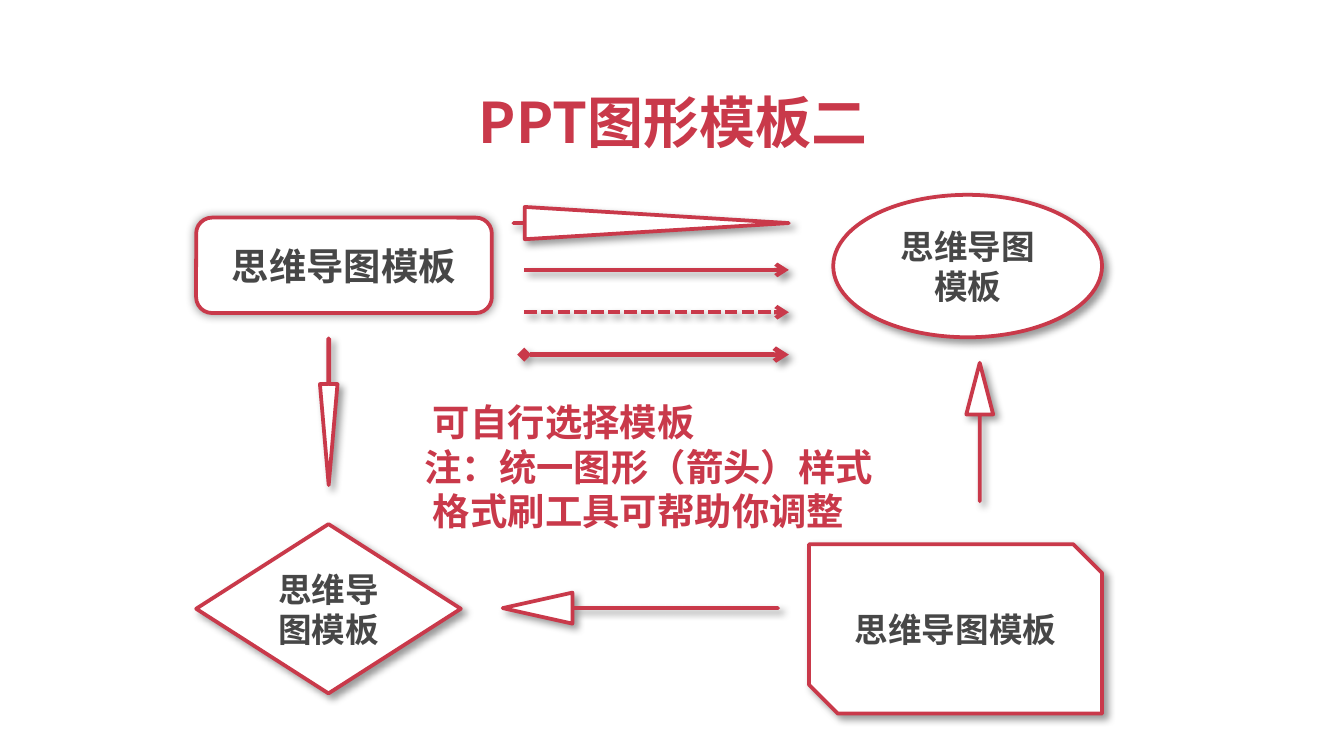
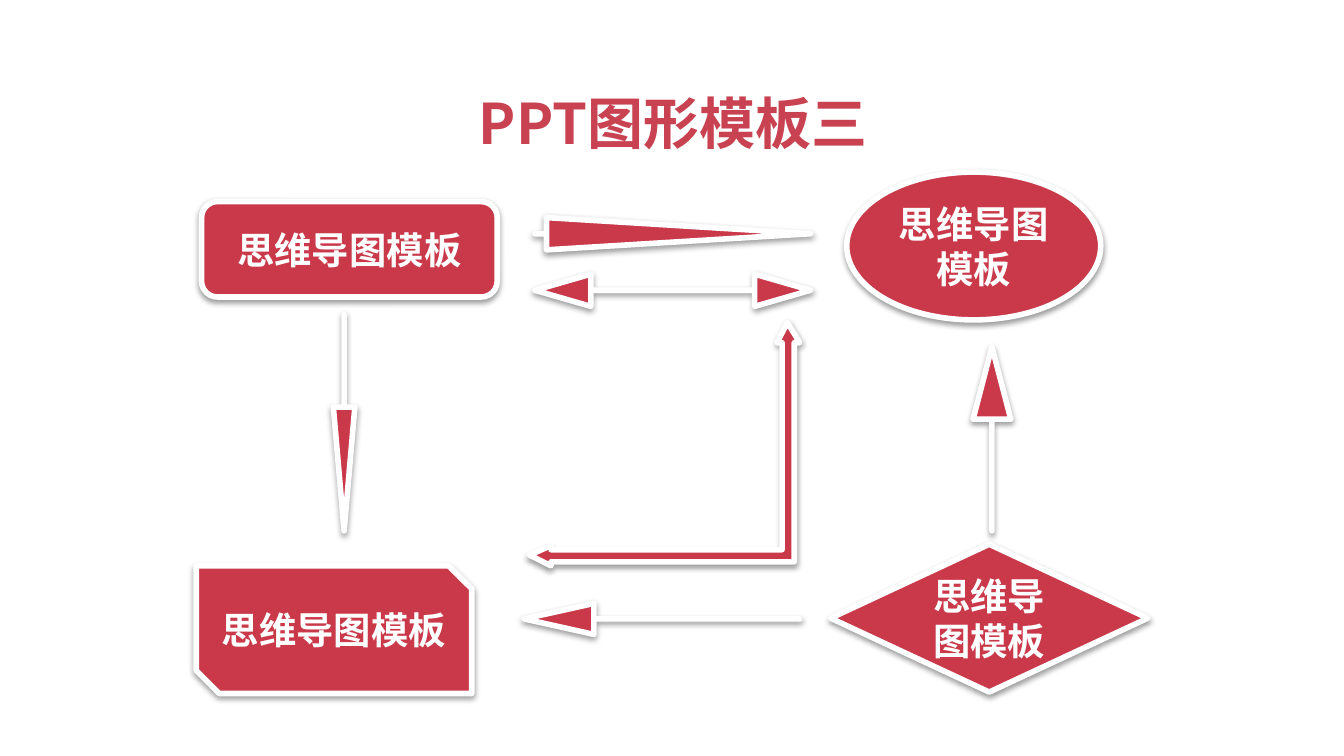
from dataclasses import dataclass

from lxml import etree
from pptx import Presentation
from pptx.dml.color import RGBColor
from pptx.enum.dml import MSO_LINE
from pptx.enum.shapes import MSO_CONNECTOR, MSO_SHAPE
from pptx.enum.text import MSO_ANCHOR, MSO_AUTO_SIZE, PP_ALIGN
from pptx.oxml.ns import qn
from pptx.util import Pt

ROUNDED = MSO_SHAPE.ROUNDED_RECTANGLE
OVAL = MSO_SHAPE.OVAL
DIAMOND = MSO_SHAPE.DIAMOND
SNIPPED = MSO_SHAPE.SNIP_2_DIAG_RECTANGLE
RIGHT = MSO_SHAPE.RIGHT_ARROW
LEFT = MSO_SHAPE.LEFT_ARROW
UP = MSO_SHAPE.UP_ARROW
DOWN = MSO_SHAPE.DOWN_ARROW
LEFT_RIGHT = MSO_SHAPE.LEFT_RIGHT_ARROW
STRAIGHT = MSO_CONNECTOR.STRAIGHT
DASHED = MSO_LINE.SQUARE_DOT
CENTER = PP_ALIGN.CENTER
TOP = MSO_ANCHOR.TOP
MIDDLE = MSO_ANCHOR.MIDDLE
NO_FIT = MSO_AUTO_SIZE.NONE
GROW = MSO_AUTO_SIZE.SHAPE_TO_FIT_TEXT

RED = RGBColor(0xC9, 0x39, 0x4A)
SOFT_RED = RGBColor(0xC9, 0x42, 0x51)
GRAY = RGBColor(0x47, 0x47, 0x47)
WHITE = RGBColor(0xFF, 0xFF, 0xFF)

FONT = "Noto Sans CJK SC"
NODE_TEXT = "思维导图模板"
TITLE_ONLY = 5


@dataclass
class Shadow:
    opacity: int
    blur: float
    distance: float
    angle: int


@dataclass
class Look:
    fill: RGBColor
    outline: RGBColor
    weight: float
    ink: RGBColor
    shadow: Shadow


GLOW = Shadow(40, 5, 0, 0)
OUTLINED = Look(WHITE, RED, 2, GRAY, Shadow(40, 4, 3, 45))
SOLID = Look(RED, WHITE, 3, WHITE, Shadow(38, 3.1, 1.6, 90))


def cast_shadow(shape, shadow):
    effects = etree.SubElement(shape._element.spPr, qn("a:effectLst"))
    outer = etree.SubElement(
        effects, qn("a:outerShdw"), blurRad=str(Pt(shadow.blur)),
        dist=str(Pt(shadow.distance)), dir=str(shadow.angle * 60000),
        algn="ctr", rotWithShape="0")
    color = etree.SubElement(outer, qn("a:srgbClr"), val="000000")
    etree.SubElement(color, qn("a:alpha"), val=str(shadow.opacity * 1000))


def dress(shape, look, shadow=None):
    shape.fill.solid()
    shape.fill.fore_color.rgb = look.fill
    shape.line.color.rgb = look.outline
    shape.line.width = Pt(look.weight)
    cast_shadow(shape, shadow or look.shadow)


def write(frame, lines, size, color, align=None):
    frame.text = "\n".join(lines)
    for paragraph in frame.paragraphs:
        paragraph.alignment = align
        font = paragraph.font
        font.name, font.size, font.bold = FONT, Pt(size), True
        font.color.rgb = color
        for run in paragraph.runs:
            etree.SubElement(run._r.get_or_add_rPr(), qn("a:ea"),
                             typeface=FONT)


def add_figure(slide, kind, box, look, adjustments=(), shadow=None):
    figure = slide.shapes.add_shape(kind, *map(Pt, box))
    for index, value in enumerate(adjustments):
        figure.adjustments[index] = value
    dress(figure, look, shadow)
    return figure


def add_node(slide, kind, box, look, size=20, adjustments=(), shadow=None):
    node = add_figure(slide, kind, box, look, adjustments, shadow)
    node.text_frame.word_wrap = True
    node.text_frame.vertical_anchor = MIDDLE
    write(node.text_frame, [NODE_TEXT], size, look.ink, CENTER)


def add_arrow_line(slide, y, weight, dash=None, head=None):
    arrow = slide.shapes.add_connector(
        STRAIGHT, Pt(280.8), Pt(y), Pt(422.6), Pt(y))
    arrow.line.color.rgb = RED
    arrow.line.width = Pt(weight)
    if dash:
        arrow.line.dash_style = dash
    outline = arrow.line._get_or_add_ln()
    if head:
        etree.SubElement(outline, qn("a:headEnd"), type=head)
    etree.SubElement(outline, qn("a:tailEnd"), type="arrow")
    cast_shadow(arrow, OUTLINED.shadow)


def add_elbow_arrow(slide, corners, look):
    start, *others = [(Pt(x), Pt(y)) for x, y in corners]
    builder = slide.shapes.build_freeform(*start)
    builder.add_line_segments(others, close=True)
    dress(builder.convert_to_shape(), look)


def add_note(slide, box, lines):
    note = slide.shapes.add_textbox(*map(Pt, box))
    note.text_frame.word_wrap = False
    note.text_frame.auto_size = GROW
    write(note.text_frame, lines, 20, RED)


def add_titled_slide(deck, text, top, color):
    slide = deck.slides.add_slide(deck.slide_layouts[TITLE_ONLY])
    title = slide.shapes.title
    title.left, title.top, title.width, title.height = map(
        Pt, (36.7, top, 648, 45.4))
    title.text_frame.word_wrap = True
    title.text_frame.auto_size = NO_FIT
    title.text_frame.vertical_anchor = TOP
    write(title.text_frame, [text], 30, color, CENTER)
    return slide


def build_outlined(deck):
    slide = add_titled_slide(deck, "PPT图形模板二", 43.2, RED)
    arrows = [
        (RIGHT, (275, 110.9, 147.6, 17.3), (0, 8.18)),
        (DOWN, (171.4, 181.4, 9.4, 78.5), (0.06, 5.75)),
        (UP, (517.7, 194.4, 14.4, 74.2), (0, 1.92)),
        (LEFT, (269.3, 317.5, 147.6, 16.6), (0, 2.25)),
    ]
    for kind, box, adjustments in arrows:
        add_figure(slide, kind, box, OUTLINED, adjustments)
    add_node(slide, ROUNDED, (105.1, 116.6, 158.4, 51.1), OUTLINED,
             shadow=GLOW)
    add_node(slide, OVAL, (446.4, 104.4, 144, 76.3), OUTLINED, 18)
    add_node(slide, SNIPPED, (433.4, 291.6, 157, 90.7), OUTLINED, 18,
             (0, 0.17))
    add_node(slide, DIAMOND, (105.1, 280.8, 141.8, 90.7), OUTLINED, 18)
    line_styles = [(2.25, None, None), (2.25, DASHED, None),
                   (2.5, None, "diamond")]
    for index, (weight, dash, head) in enumerate(line_styles):
        add_arrow_line(slide, 144.6 + 22.7 * index, weight, dash, head)
    add_note(slide, (220.3, 210.2, 257, 79.9),
             [" 可自行选择模板", "注：统一图形（箭头）样式",
              " 格式刷工具可帮助你调整"])


def build_solid(deck):
    slide = add_titled_slide(deck, "PPT图形模板三", 43.9, SOFT_RED)
    arrows = [
        (RIGHT, (286.6, 116.6, 147.6, 17.3), (0, 8.18)),
        (DOWN, (178.6, 168.5, 11.5, 115.9), (0, 5.76)),
        (UP, (521.3, 185.8, 20.2, 98.6), (0, 1.92)),
        (LEFT, (280.8, 323.3, 147.6, 16.6), (0, 2.25)),
        (LEFT_RIGHT, (286.6, 146.9, 147.6, 17.3), (0, 1.73)),
    ]
    for kind, box, adjustments in arrows:
        add_figure(slide, kind, box, SOLID, adjustments)
    add_node(slide, ROUNDED, (108, 108, 158.4, 51.1), SOLID)
    add_node(slide, SNIPPED, (105.1, 303.1, 147.6, 68.4), SOLID,
             adjustments=(0, 0.18))
    add_node(slide, OVAL, (453.6, 92.2, 136.1, 79.2), SOLID)
    add_node(slide, DIAMOND, (445, 291.6, 169.9, 79.2), SOLID)
    add_elbow_arrow(slide, [
        (421.9, 172.8), (416.2, 183.6), (419, 183.6), (419, 294.5),
        (295.2, 294.5), (295.2, 292.3), (283.7, 297.4), (295.2, 303.1),
        (295.2, 301), (425.5, 301), (425.5, 183.6), (428.4, 183.6),
    ], SOLID)


def main():
    deck = Presentation()
    deck.slide_width, deck.slide_height = Pt(720), Pt(405)
    build_outlined(deck)
    build_solid(deck)
    deck.save("out.pptx")


if __name__ == "__main__":
    main()
